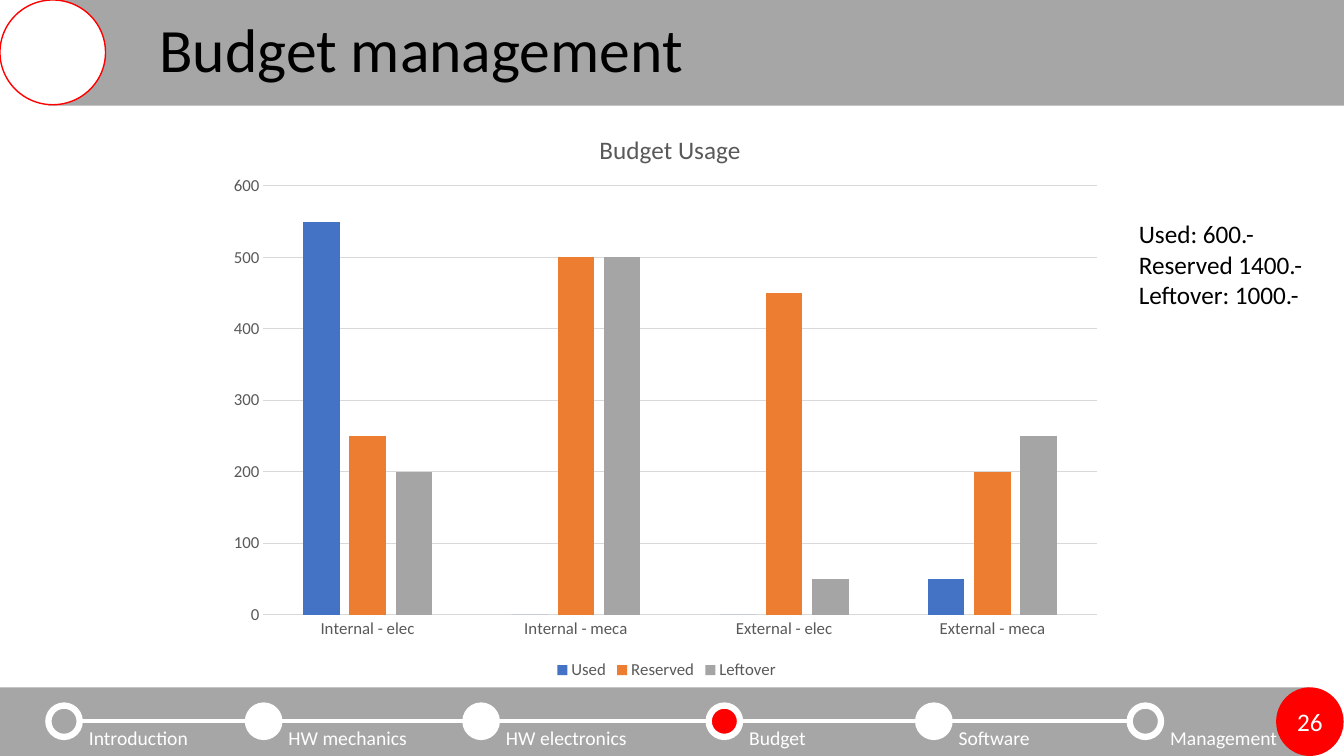
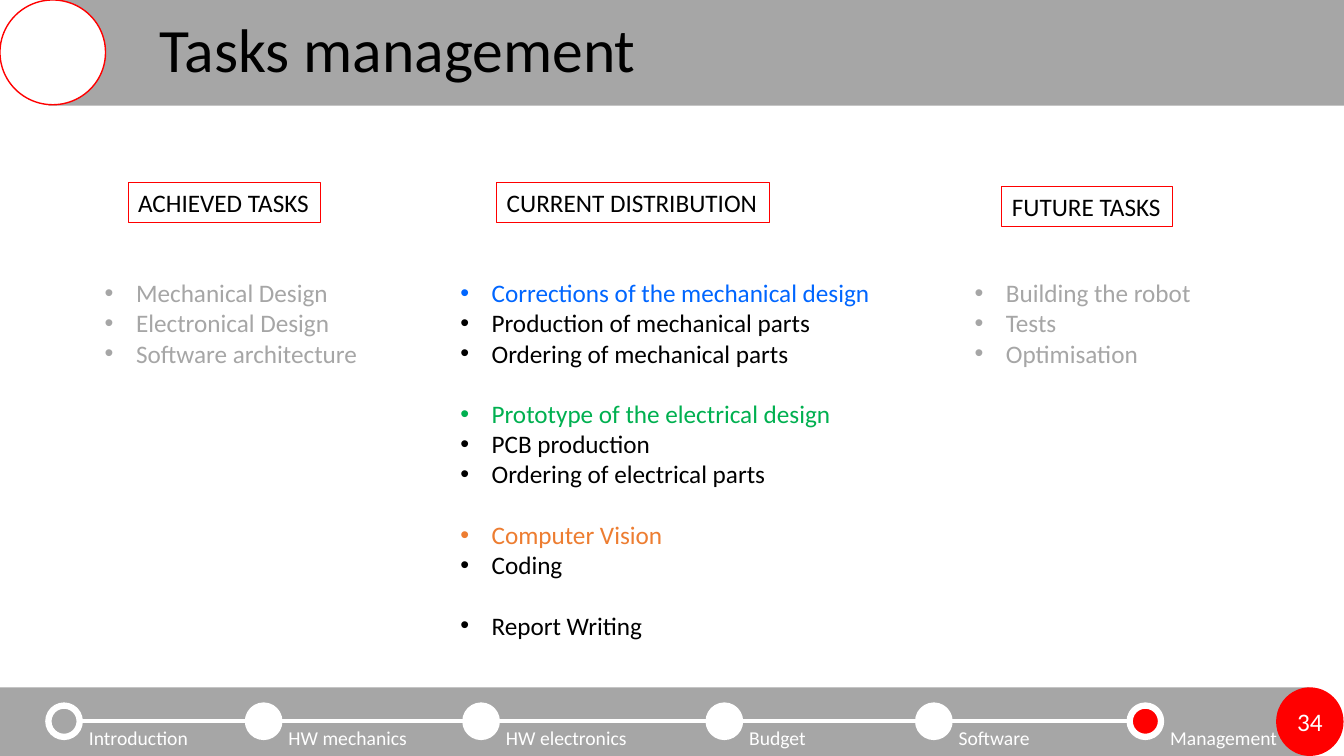
from dataclasses import dataclass
from typing import Any, Optional

from lxml import etree
from pptx import Presentation
from pptx.chart.data import CategoryChartData
from pptx.dml.color import RGBColor
from pptx.enum.chart import XL_CHART_TYPE, XL_LEGEND_POSITION, XL_TICK_MARK
from pptx.enum.shapes import MSO_CONNECTOR, MSO_SHAPE
from pptx.enum.text import MSO_ANCHOR, MSO_AUTO_SIZE, PP_ALIGN
from pptx.oxml import parse_xml
from pptx.oxml.ns import nsdecls, qn
from pptx.util import Cm, Pt

OVAL, RECT = MSO_SHAPE.OVAL, MSO_SHAPE.RECTANGLE
STRAIGHT = MSO_CONNECTOR.STRAIGHT
MIDDLE, TOP = MSO_ANCHOR.MIDDLE, MSO_ANCHOR.TOP
LEFT, CENTER = PP_ALIGN.LEFT, PP_ALIGN.CENTER
NO_AUTOFIT = MSO_AUTO_SIZE.NONE
COLUMNS = XL_CHART_TYPE.COLUMN_CLUSTERED
LEGEND_BOTTOM = XL_LEGEND_POSITION.BOTTOM
NO_TICKS = XL_TICK_MARK.NONE

BLACK = RGBColor(0x00, 0x00, 0x00)
WHITE = RGBColor(0xFF, 0xFF, 0xFF)
RED = RGBColor(0xFF, 0x00, 0x00)
BAND_GRAY = RGBColor(0xA6, 0xA6, 0xA6)
CHART_TEXT = RGBColor(0x59, 0x59, 0x59)
GRID_GRAY = RGBColor(0xD9, 0xD9, 0xD9)
MECHANICS_BLUE = RGBColor(0x00, 0x66, 0xFF)
ELECTRICAL_GREEN = RGBColor(0x00, 0xB0, 0x50)
ORANGE = RGBColor(0xED, 0x7D, 0x31)
SERIES_BLUE = RGBColor(0x44, 0x72, 0xC4)
SERIES_GRAY = RGBColor(0xA5, 0xA5, 0xA5)

FONT = "Calibri"
SLIDE_W, SLIDE_H = Cm(33.87), Cm(19.05)
FOOTER_TOP, FOOTER_H = Cm(17.32), Cm(1.73)
MARKER_TOP, MARKER_SIZE = Cm(17.78), Cm(0.79)
LABEL_SHIFT = Cm(1.02)
LINE_GAP = Pt(21.6)
BULLET_INDENT = Cm(0.79)

TEXT_BOX = {"word_wrap": True, "auto_size": NO_AUTOFIT, "vertical_anchor": TOP,
            "margin_left": Cm(0.25), "margin_right": 0,
            "margin_top": Cm(0.13), "margin_bottom": Cm(0.13)}
FLUSH_BOX = TEXT_BOX | {"margin_left": 0, "margin_top": 0, "margin_bottom": 0}
CENTERED_BOX = FLUSH_BOX | {"vertical_anchor": MIDDLE}
TITLE_BOX = CENTERED_BOX | {"margin_left": Cm(2.8)}


@dataclass(frozen=True)
class Box:
    left: float
    top: float
    width: float
    height: float

    def lengths(self) -> tuple:
        return Cm(self.left), Cm(self.top), Cm(self.width), Cm(self.height)


@dataclass(frozen=True)
class Stage:
    label: str
    left: float


@dataclass(frozen=True)
class Line:
    text: str
    color: RGBColor = BLACK
    new_group: bool = False


@dataclass(frozen=True)
class TaskColumn:
    heading: str
    heading_box: Box
    list_box: Box
    tasks: tuple


@dataclass(frozen=True)
class Series:
    name: str
    values: tuple
    color: RGBColor


STAGES = (
    Stage("Introduction", 1.22),
    Stage("HW mechanics", 6.25),
    Stage("HW electronics", 11.73),
    Stage("Budget", 17.86),
    Stage("Software", 23.14),
    Stage("Management", 28.47),
)

BUDGET_AREAS = ("Internal - elec", "Internal - meca", "External - elec", "External - meca")
BUDGET = (
    Series("Used", (550, 0, 0, 50), SERIES_BLUE),
    Series("Reserved", (250, 500, 450, 200), ORANGE),
    Series("Leftover", (200, 500, 50, 250), SERIES_GRAY),
)
BUDGET_TOTALS = (Line("Used: 600.-"), Line("Reserved 1400.-"), Line("Leftover: 1000.-"))

TASK_COLUMNS = (
    TaskColumn("ACHIEVED TASKS", Box(3.23, 4.6, 4.85, 1.02), Box(2.39, 6.86, 6.96, 2.57), (
        Line("Mechanical Design", BAND_GRAY),
        Line("Electronical Design", BAND_GRAY),
        Line("Software architecture", BAND_GRAY),
    )),
    TaskColumn("CURRENT DISTRIBUTION", Box(12.52, 4.6, 6.88, 1.02), Box(11.35, 6.86, 10.95, 9.5), (
        Line("Corrections of the mechanical design", MECHANICS_BLUE),
        Line("Production of mechanical parts"),
        Line("Ordering of mechanical parts"),
        Line("Prototype of the electrical design", ELECTRICAL_GREEN, True),
        Line("PCB production"),
        Line("Ordering of electrical parts"),
        Line("Computer Vision", ORANGE, True),
        Line("Coding"),
        Line("Report Writing", BLACK, True),
    )),
    TaskColumn("FUTURE TASKS", Box(25.25, 4.7, 4.29, 1.02), Box(24.31, 6.86, 6.02, 2.57), (
        Line("Building the robot", BAND_GRAY),
        Line("Tests", BAND_GRAY),
        Line("Optimisation", BAND_GRAY),
    )),
)


def apply_format(target: Any, values: dict) -> None:
    for attribute, value in values.items():
        setattr(target, attribute, value)


def style_font(font: Any, size: float, color: RGBColor) -> None:
    apply_format(font, {"name": FONT, "size": Pt(size), "bold": False})
    font.color.rgb = color


def add_bullet(paragraph: Any) -> None:
    properties = paragraph._p.get_or_add_pPr()
    properties.set("marL", str(BULLET_INDENT))
    properties.set("indent", str(-BULLET_INDENT))
    etree.SubElement(properties, qn("a:buFont")).set("typeface", "Arial")
    etree.SubElement(properties, qn("a:buChar")).set("char", "•")


def write_lines(frame: Any, lines: tuple, size: float, box_format: dict,
                align: Any = LEFT, bullets: bool = False) -> None:
    apply_format(frame, box_format)
    for index, line in enumerate(lines):
        paragraph = frame.add_paragraph() if index else frame.paragraphs[0]
        if line.new_group:
            paragraph.space_before = LINE_GAP
        if bullets:
            add_bullet(paragraph)
        paragraph.alignment = align
        run = paragraph.add_run()
        run.text = line.text
        style_font(run.font, size, line.color)


def add_figure(slide: Any, kind: Any, place: tuple, fill: Optional[RGBColor] = None,
               outline: Optional[RGBColor] = None, weight: float = 1) -> Any:
    figure = slide.shapes.add_shape(kind, *place)
    figure.shadow.inherit = False
    if fill is None:
        figure.fill.background()
    else:
        figure.fill.solid()
        figure.fill.fore_color.rgb = fill
    if outline is None:
        figure.line.fill.background()
    else:
        figure.line.color.rgb = outline
        figure.line.width = Pt(weight)
    return figure


def add_text(slide: Any, place: tuple, lines: tuple, size: float,
             box_format: dict = TEXT_BOX, bullets: bool = False) -> None:
    frame = slide.shapes.add_textbox(*place).text_frame
    write_lines(frame, lines, size, box_format, bullets=bullets)


def add_progress(slide: Any, current: str, unvisited: tuple) -> None:
    middle = MARKER_TOP + MARKER_SIZE // 2
    track = slide.shapes.add_connector(
        STRAIGHT, Cm(STAGES[0].left) + MARKER_SIZE, middle, Cm(STAGES[-1].left), middle)
    track.line.color.rgb = WHITE
    track.line.width = Pt(3)
    etree.SubElement(track._element.spPr, qn("a:effectLst"))
    for stage in STAGES:
        fill = RED if stage.label == current else None if stage.label in unvisited else WHITE
        left = Cm(stage.left)
        add_figure(slide, OVAL, (left, MARKER_TOP, MARKER_SIZE, MARKER_SIZE), fill, WHITE, 4.5)
        add_text(slide, (left + LABEL_SHIFT, Cm(18.29), Cm(4), Cm(0.65)),
                 (Line(stage.label, WHITE),), 14, FLUSH_BOX)


def add_base_slide(deck: Any, title: str, number: str, current: str, unvisited: tuple) -> Any:
    slide = deck.slides.add_slide(deck.slide_layouts[5])
    # Title band
    heading = slide.shapes.title
    apply_format(heading, dict(zip(("left", "top", "width", "height"),
                                   Box(1.22, 0, 32.65, 2.66).lengths())))
    heading.fill.solid()
    heading.fill.fore_color.rgb = BAND_GRAY
    write_lines(heading.text_frame, (Line(title),), 44, TITLE_BOX)
    heading.text_frame.paragraphs[0].line_spacing = 0.9
    add_figure(slide, OVAL, Box(0, 0, 2.66, 2.64).lengths(), WHITE, RED)
    # Footer band with page number and progress
    add_figure(slide, RECT, (0, FOOTER_TOP, Cm(33), FOOTER_H), BAND_GRAY)
    page = add_figure(slide, OVAL, (Cm(32.16), FOOTER_TOP, Cm(1.7), FOOTER_H), RED)
    write_lines(page.text_frame, (Line(number, WHITE),), 18, CENTERED_BOX, CENTER)
    add_progress(slide, current, unvisited)
    return slide


def set_layout(element: Any, index: int, fractions: dict, inner: bool = False) -> None:
    for old in element.findall(qn("c:layout")):
        element.remove(old)
    target = '<c:layoutTarget val="inner"/>' if inner else ""
    modes = "".join(f'<c:{axis}Mode val="edge"/>' for axis in "xy")
    sizes = "".join(f'<c:{key} val="{value}"/>' for key, value in fractions.items())
    element.insert(index, parse_xml(
        f'<c:layout {nsdecls("c")}><c:manualLayout>{target}{modes}{sizes}'
        '</c:manualLayout></c:layout>'))


def add_budget_chart(slide: Any) -> None:
    data = CategoryChartData()
    data.categories = BUDGET_AREAS
    for series in BUDGET:
        data.add_series(series.name, series.values)
    place = Box(5.51, 2.64, 22.58, 14.6).lengths()
    chart = slide.shapes.add_chart(COLUMNS, *place, data).chart
    style_font(chart.font, 12, CHART_TEXT)

    # Title and legend
    chart.has_title = True
    write_lines(chart.chart_title.text_frame, (Line("Budget Usage", CHART_TEXT),), 18, {})
    set_layout(chart.chart_title._element, 1, {"x": 0.42, "y": 0.04})
    chart.has_legend = True
    apply_format(chart.legend, {"position": LEGEND_BOTTOM, "include_in_layout": False})
    style_font(chart.legend.font, 12, CHART_TEXT)

    # Columns
    plot = chart.plots[0]
    apply_format(plot, {"gap_width": 219, "overlap": -27, "vary_by_categories": False})
    for drawn, series in zip(plot.series, BUDGET):
        drawn.format.fill.solid()
        drawn.format.fill.fore_color.rgb = series.color
    set_layout(chart._chartSpace.chart.plotArea, 0,
               {"x": 0.05, "y": 0.14, "w": 0.93, "h": 0.74}, inner=True)

    # Axes
    amounts, areas = chart.value_axis, chart.category_axis
    for axis in (amounts, areas):
        apply_format(axis, {"major_tick_mark": NO_TICKS, "minor_tick_mark": NO_TICKS})
        style_font(axis.tick_labels.font, 12, CHART_TEXT)
    apply_format(amounts, {"minimum_scale": 0, "maximum_scale": 600, "major_unit": 100,
                           "has_major_gridlines": True})
    amounts.format.line.fill.background()
    for line in (amounts.major_gridlines.format.line, areas.format.line):
        line.color.rgb = GRID_GRAY
        line.width = Pt(0.75)


def add_task_column(slide: Any, column: TaskColumn) -> None:
    heading = add_figure(slide, RECT, column.heading_box.lengths(), None, RED, 0.75)
    write_lines(heading.text_frame, (Line(column.heading),), 18, TEXT_BOX)
    add_text(slide, column.list_box.lengths(), column.tasks, 18, bullets=True)


def main() -> None:
    deck = Presentation()
    apply_format(deck, {"slide_width": SLIDE_W, "slide_height": SLIDE_H})

    budget = add_base_slide(deck, "Budget management", "26", "Budget",
                            ("Introduction", "Management"))
    add_budget_chart(budget)
    add_text(budget, Box(28.45, 5.38, 4.72, 3.33).lengths(), BUDGET_TOTALS, 18)

    tasks = add_base_slide(deck, "Tasks management", "34", "Management", ("Introduction",))
    for column in TASK_COLUMNS:
        add_task_column(tasks, column)

    deck.save("out.pptx")


if __name__ == "__main__":
    main()
